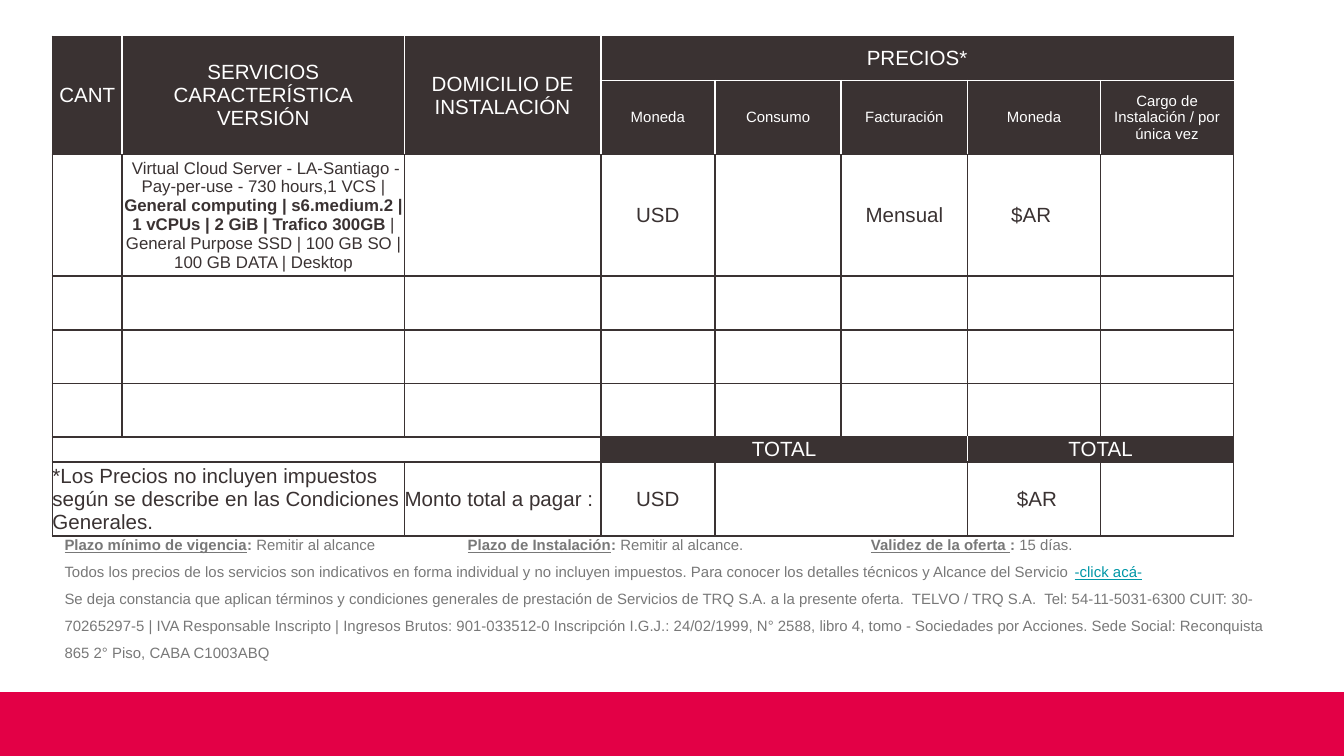
from dataclasses import dataclass

from lxml.etree import SubElement
from pptx import Presentation
from pptx.dml.color import RGBColor
from pptx.enum.shapes import MSO_SHAPE
from pptx.enum.text import MSO_ANCHOR, PP_ALIGN
from pptx.oxml.ns import qn
from pptx.util import Inches, Pt


@dataclass(frozen=True)
class Theme:
    """Colours, font and type sizes of the quote."""

    font: str = "Arial"
    dark: str = "3A3232"
    white: str = "FFFFFF"
    grey: str = "787878"
    link: str = "0097A7"
    accent: str = "E30046"
    small: float = 8
    detail: float = 9
    body: float = 11


COLUMNS = [0.52, 2.1, 1.46, 0.85, 0.94, 0.94, 0.99, 0.99]
ROWS = [0.33, 0.39, 0.83, 0.4, 0.4, 0.4, 0.17, 0.51]
MERGES = {
    (0, 0): (2, 1), (0, 1): (2, 1), (0, 2): (2, 1), (0, 3): (1, 5),
    (6, 0): (1, 3), (6, 3): (1, 3), (6, 6): (1, 2),
    (7, 0): (1, 2), (7, 4): (1, 2),
}
SERVICE = [
    ("\u00a0Virtual Cloud Server - LA-Santiago - Pay-per-use - 730 hours,1 VCS | ", ""),
    ("General computing | s6.medium.2 | 1 vCPUs | 2 GiB | Trafico 300GB", "b"),
    (" | General Purpose SSD | 100 GB SO | 100 GB DATA | Desktop", ""),
]
TEXTS = {
    (0, 0): "CANT",
    (0, 1): "SERVICIOS\nCARACTERÍSTICA\nVERSIÓN",
    (0, 2): "DOMICILIO DE INSTALACIÓN",
    (0, 3): "PRECIOS*",
    (1, 3): "Moneda", (1, 4): "Consumo", (1, 5): "Facturación",
    (1, 6): "Moneda", (1, 7): "Cargo de Instalación / por única vez",
    (2, 3): "USD", (2, 5): "Mensual", (2, 6): "$AR ",
    (6, 3): "TOTAL", (6, 6): "TOTAL",
    (7, 0): "*Los Precios no incluyen impuestos según se describe en las "
            "Condiciones Generales.",
    (7, 2): "Monto total a pagar :",
    (7, 3): "USD", (7, 6): " $AR",
}
TERMS = [
    [
        ("Plazo mínimo de vigencia", "bu"), (": ", "b"), ("Remitir al alcance \t", ""),
        ("Plazo de Instalación", "bu"), (": ", "b"), ("Remitir al alcance. \t", ""),
        ("Validez de la oferta ", "bu"), (": ", "b"), ("15 días.", ""),
    ],
    [
        ("Todos los precios de los servicios son indicativos en forma individual y no "
         "incluyen impuestos. Para conocer los detalles técnicos y Alcance del "
         "Servicio ", ""),
        ("-click acá-", "ul"),
        ("\n", ""),
        ("Se deja constancia que aplican términos y condiciones generales de prestación "
         "de Servicios de TRQ S.A. a la presente oferta.  TELVO / TRQ S.A.  "
         "Tel: 54-11-5031-6300 CUIT: 30-70265297-5 | IVA Responsable Inscripto | "
         "Ingresos Brutos: 901-033512-0 Inscripción I.G.J.: 24/02/1999, N° 2588, "
         "libro 4, tomo - Sociedades por Acciones. Sede Social: Reconquista 865 "
         "2° Piso, CABA C1003ABQ", ""),
    ],
]


def is_dark(row, column):
    """Tell whether a grid position belongs to a heading or total cell."""
    inside = 0 <= row < len(ROWS) and 0 <= column < len(COLUMNS)
    return inside and (row < 2 or (row == 6 and column >= 3))


class QuotePage:
    """Draws the elements of the quote on one slide."""

    def __init__(self, page, theme):
        """Keep the slide and its theme."""
        self.page = page
        self.theme = theme

    def style(self, span, size, color, flags=""):
        """Format one run; flags are b for bold, u for underline, l for link."""
        span.font.name = self.theme.font
        span.font.size = Pt(size)
        span.font.bold = "b" in flags
        span.font.underline = "u" in flags
        span.font.color.rgb = RGBColor.from_string(self.theme.link if "l" in flags else color)

    def spans(self, para, pieces, size, color):
        """Fill a paragraph with formatted runs and line breaks."""
        for words, flags in pieces:
            if words == "\n":
                para.add_line_break()
                SubElement(para._p[-1], qn("a:rPr"), sz=str(Pt(size).centipoints))
                continue
            span = para.add_run()
            span.text = words
            self.style(span, size, color, flags)

    def band(self, left, top, width, height):
        """Draw a plain accent rectangle."""
        box = self.page.shapes.add_shape(
            MSO_SHAPE.RECTANGLE, Inches(left), Inches(top), Inches(width), Inches(height))
        box.shadow.inherit = False
        box.fill.solid()
        box.fill.fore_color.rgb = RGBColor.from_string(self.theme.accent)
        box.line.fill.background()

    def terms(self, left, top, width, height, paragraphs, stops):
        """Write the conditions as paragraphs with tab stops."""
        box = self.page.shapes.add_textbox(
            Inches(left), Inches(top), Inches(width), Inches(height))
        frame = box.text_frame
        frame.word_wrap = True
        frame.vertical_anchor = MSO_ANCHOR.MIDDLE
        frame.margin_left = frame.margin_right = Inches(0.09)
        frame.text = "\n" * (len(paragraphs) - 1)
        for para, pieces in zip(frame.paragraphs, paragraphs):
            para.line_spacing = 1.5
            tabs = SubElement(para._p.get_or_add_pPr(), qn("a:tabLst"))
            for stop in stops:
                SubElement(tabs, qn("a:tab"), pos=str(Inches(stop)), algn="l")
            self.spans(para, pieces, self.theme.small, self.theme.grey)

    def border(self, cell, side, color):
        """Draw one side of a cell."""
        line = SubElement(cell._tc.get_or_add_tcPr(), qn(f"a:ln{side}"), w=str(Pt(1)))
        fill = SubElement(line, qn("a:solidFill"))
        SubElement(fill, qn("a:srgbClr"), val=color)

    def cell_frame(self, cell, row, column, region):
        """Set borders and fill; lines between two dark cells are white."""
        top, left, height, width = region
        bottom, right = top + height - 1, left + width - 1
        origin = (row, column) == (top, left)
        sides = [
            ("L", column == left, (top, left - 1)),
            ("R", column == right, (top, right + 1)),
            ("T", row == top, (top - 1, left)),
            ("B", row == bottom, (bottom + 1, left)),
        ]
        dark = is_dark(top, left)
        for side, on_edge, neighbour in sides:
            if origin or on_edge:
                white = dark and is_dark(*neighbour)
                self.border(cell, side, self.theme.white if white else self.theme.dark)
        if dark:
            cell.fill.solid()
            cell.fill.fore_color.rgb = RGBColor.from_string(self.theme.dark)
        else:
            cell.fill.background()

    def cell_text(self, cell, row, column):
        """Write and format the content of a cell."""
        cell.margin_left = cell.margin_right = cell.margin_top = cell.margin_bottom = 0
        cell.vertical_anchor = MSO_ANCHOR.MIDDLE
        cell.text_frame.text = TEXTS.get((row, column), "")
        size = self.theme.small if row == 1 else self.theme.body
        color = self.theme.white if is_dark(row, column) else self.theme.dark
        for para in cell.text_frame.paragraphs:
            para.alignment = PP_ALIGN.LEFT if row == 7 and column < 3 else PP_ALIGN.CENTER
            for span in para.runs:
                self.style(span, size, color)
            if (row, column) == (2, 1):
                self.spans(para, SERVICE, self.theme.detail, color)
            elif not para.runs:
                SubElement(para._p, qn("a:endParaRPr"), sz=str(Pt(self.theme.small).centipoints))

    def prices(self, left, top):
        """Build the price table."""
        table = self.page.shapes.add_table(
            len(ROWS), len(COLUMNS), Inches(left), Inches(top),
            Inches(sum(COLUMNS)), Inches(sum(ROWS))).table
        table.first_row = table.horz_banding = False
        for column, width in zip(table.columns, COLUMNS):
            column.width = Inches(width)
        for row, height in zip(table.rows, ROWS):
            row.height = Inches(height)
        regions = {}
        for (row, column), (height, width) in MERGES.items():
            table.cell(row, column).merge(table.cell(row + height - 1, column + width - 1))
            for down in range(height):
                for across in range(width):
                    regions[row + down, column + across] = (row, column, height, width)
        for row in range(len(ROWS)):
            for column in range(len(COLUMNS)):
                cell = table.cell(row, column)
                self.cell_text(cell, row, column)
                region = regions.get((row, column), (row, column, 1, 1))
                self.cell_frame(cell, row, column, region)


def main():
    """Build and save the deck."""
    deck = Presentation()
    deck.slide_width, deck.slide_height = Inches(10), Inches(10) * 9 // 16
    quote = QuotePage(deck.slides.add_slide(deck.slide_layouts[6]), Theme())
    quote.band(-0.01, 5.15, 10.02, 0.49)
    quote.terms(0.39, 3.83, 9.24, 1.18, TERMS, stops=(3, 6))
    quote.prices(0.39, 0.27)
    deck.save("out.pptx")


if __name__ == "__main__":
    main()
